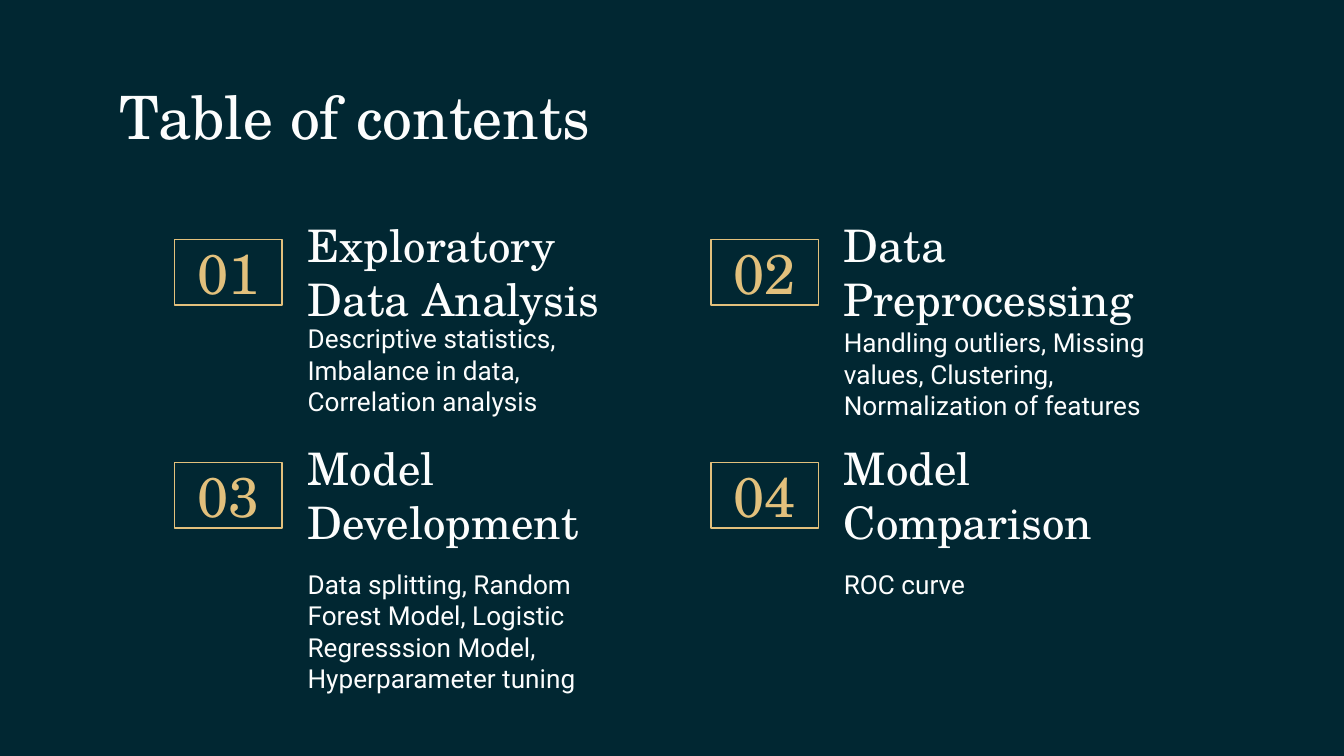
"""Build the table of contents slide."""

from dataclasses import dataclass

import pptx
import pptx.dml.color
import pptx.enum.shapes
import pptx.enum.text
import pptx.util

Inches = pptx.util.Inches
Align = pptx.enum.text.PP_ALIGN
Anchor = pptx.enum.text.MSO_ANCHOR

NAVY = pptx.dml.color.RGBColor(0x01, 0x27, 0x32)
WHITE = pptx.dml.color.RGBColor(0xFC, 0xFD, 0xFD)
GOLD = pptx.dml.color.RGBColor(0xE2, 0xC0, 0x7C)
SERIF = "TeX Gyre Schola"
SANS = "Roboto"

LEFT, TOP = 1.3, 1.78
COLUMN_STEP, ROW_STEP = 3.99, 1.66
TEXT_OFFSET, TEXT_WIDTH = 0.89, 2.52


@dataclass(frozen=True)
class Section:
    heading: str
    description: str
    description_top: float
    description_height: float


SECTIONS = [
    Section("Exploratory Data Analysis",
            "Descriptive statistics, Imbalance in data, Correlation analysis", 2.3, 0.83),
    Section("Data Preprocessing",
            "Handling outliers, Missing values, Clustering, Normalization of features", 2.33, 0.83),
    Section("Model Development",
            "Data splitting, Random Forest Model, Logistic Regresssion Model, Hyperparameter tuning",
            4.13, 1.11),
    Section("Model Comparison", "ROC curve", 4.13, 0.63),
]


def write_text(shape, text: str, *, size: float, font: str = SERIF, color=WHITE,
               align=Align.LEFT, anchor=Anchor.TOP) -> None:
    """Fill a shape with one formatted paragraph."""
    frame = shape.text_frame
    frame.word_wrap = True
    frame.auto_size = pptx.enum.text.MSO_AUTO_SIZE.NONE
    frame.vertical_anchor = anchor
    frame.margin_left = frame.margin_right = Inches(0.1)
    frame.margin_top = frame.margin_bottom = Inches(0.1)
    paragraph = frame.paragraphs[0]
    paragraph.alignment = align
    run = paragraph.add_run()
    run.text = text
    run.font.size = pptx.util.Pt(size)
    run.font.name = font
    run.font.color.rgb = color


def add_text(slide, left: float, top: float, height: float, text: str, **text_format) -> None:
    """Add a text box of the common column width."""
    shape = slide.shapes.add_textbox(
        Inches(left), Inches(top), Inches(TEXT_WIDTH), Inches(height))
    write_text(shape, text, **text_format)


def add_number(slide, left: float, top: float, number: int) -> None:
    """Add a two-digit number in a gold frame."""
    shape = slide.shapes.add_shape(
        pptx.enum.shapes.MSO_SHAPE.RECTANGLE,
        Inches(left), Inches(top), Inches(0.8), Inches(0.49))
    shape.shadow.inherit = False
    shape.fill.background()
    shape.line.color.rgb = GOLD
    shape.line.width = pptx.util.Pt(0.75)
    write_text(shape, f"{number:02d}", size=30, color=GOLD,
               align=Align.CENTER, anchor=Anchor.MIDDLE)


def add_section(slide, index: int, section: Section) -> None:
    """Add a numbered section in its place on the two-column grid."""
    row, column = divmod(index, 2)
    left = LEFT + column * COLUMN_STEP
    top = TOP + row * ROW_STEP
    text_left = left + TEXT_OFFSET
    add_number(slide, left, top, index + 1)
    add_text(slide, text_left, top - 0.15, 0.89, section.heading,
             size=24, anchor=Anchor.BOTTOM)
    add_text(slide, text_left, section.description_top, section.description_height,
             section.description, size=14, font=SANS)


def main() -> None:
    """Create and save the presentation."""
    presentation = pptx.Presentation()
    presentation.slide_width = Inches(10)
    presentation.slide_height = Inches(10 * 9 / 16)
    slide = presentation.slides.add_slide(presentation.slide_layouts[5])
    slide.background.fill.solid()
    slide.background.fill.fore_color.rgb = NAVY

    title = slide.shapes.title
    title.left, title.top = Inches(0.79), Inches(0.49)
    title.width, title.height = Inches(8.43), Inches(0.63)
    write_text(title, "Table of contents", size=32)

    for index, section in enumerate(SECTIONS):
        add_section(slide, index, section)
    presentation.save("out.pptx")


if __name__ == "__main__":
    main()
